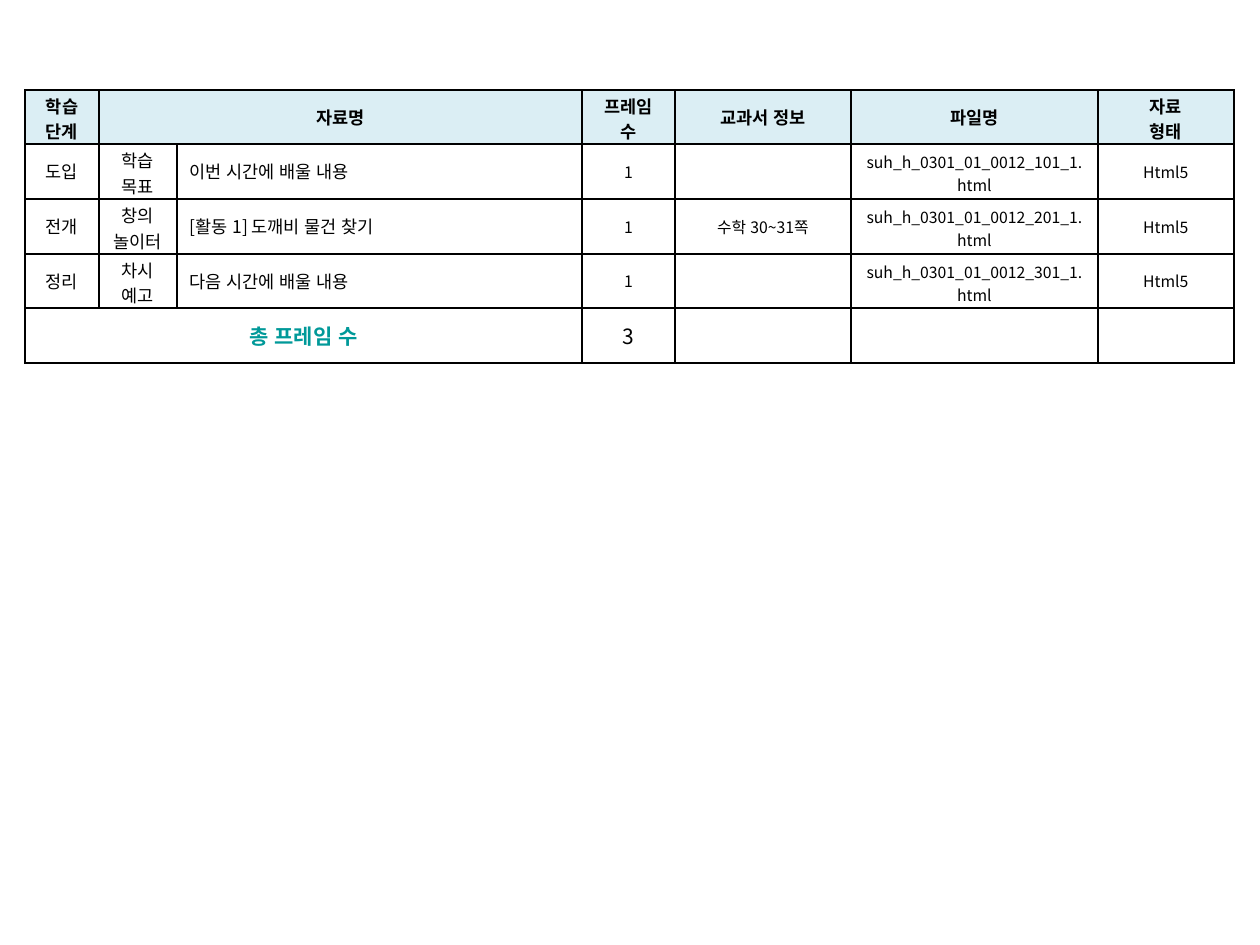
from lxml.etree import SubElement
from pptx import Presentation
from pptx.dml.color import RGBColor
from pptx.enum.lang import MSO_LANGUAGE_ID
from pptx.enum.text import MSO_ANCHOR, PP_ALIGN
from pptx.oxml.ns import qn
from pptx.util import Emu, Pt

FONT = "Noto Sans CJK KR"
BLACK = RGBColor(0x00, 0x00, 0x00)
TEAL = RGBColor(0x00, 0x99, 0x99)
PALE_BLUE = RGBColor(0xDB, 0xEE, 0xF4)

ROWS = [
    ["학습 단계", "자료명", "", "프레임 수", "교과서 정보", "파일명", "자료\n형태"],
    ["도입", "학습 목표", "이번 시간에 배울 내용", "1", "",
     "suh_h_0301_01_0012_101_1.html", "Html5"],
    ["전개", "창의\n놀이터", "[활동 1] 도깨비 물건 찾기", "1", "수학 30~31쪽",
     "suh_h_0301_01_0012_201_1.html", "Html5"],
    ["정리", "차시 예고", "다음 시간에 배울 내용", "1", "",
     "suh_h_0301_01_0012_301_1.html", "Html5"],
    ["총 프레임 수", "", "", "3", "", "", ""],
]
COLUMN_WIDTHS = [74, 78, 405, 93, 176, 247, 136]
ROW_HEIGHTS = [54, 55, 55, 54, 55]
LEFT, TOP = 25, 90
TITLE_COLUMN, FRAMES_COLUMN, FILE_COLUMN = 2, 3, 5
HEADER_ROW, TOTAL_ROW = 0, len(ROWS) - 1
MERGES = [((HEADER_ROW, 1), (HEADER_ROW, 2)), ((TOTAL_ROW, 0), (TOTAL_ROW, 2))]
TWO_LINE_HEADERS = (0, 3, 6)
TWO_LINE_COLUMNS = (1, FILE_COLUMN)


def px(count):
    return Emu(round(count * 914400 / 126))


def font_format(row, column):
    if row == HEADER_ROW:
        return {"size": Pt(10), "bold": True}, BLACK
    if row == TOTAL_ROW:
        is_label = column < FRAMES_COLUMN
        return {"size": Pt(12), "bold": is_label}, TEAL if is_label else BLACK
    return {"size": Pt(10 if column < FRAMES_COLUMN else 9), "bold": False}, BLACK


def tighten_margins(cell, row, column):
    """Let two lines of text fit in the low rows."""
    wrapped = TWO_LINE_HEADERS if row == HEADER_ROW else TWO_LINE_COLUMNS
    if row != TOTAL_ROW and column in wrapped:
        cell.margin_top = px(4 if column == FILE_COLUMN else 3)
        cell.margin_bottom = 0


def add_borders(cell):
    properties = cell._tc.get_or_add_tcPr()
    for index, side in enumerate(("lnL", "lnR", "lnT", "lnB")):
        line = properties.makeelement(qn(f"a:{side}"), {"w": str(Pt(1))})
        fill = SubElement(line, qn("a:solidFill"))
        SubElement(fill, qn("a:srgbClr"), val=str(BLACK))
        properties.insert(index, line)


def fill_cell(cell, text, row, column):
    cell.vertical_anchor = MSO_ANCHOR.MIDDLE
    tighten_margins(cell, row, column)
    if row == HEADER_ROW:
        cell.fill.solid()
        cell.fill.fore_color.rgb = PALE_BLUE
    else:
        cell.fill.background()
    add_borders(cell)
    cell.text = text
    values, color = font_format(row, column)
    values.update(name=FONT, language_id=MSO_LANGUAGE_ID.KOREAN)
    is_title = column == TITLE_COLUMN and HEADER_ROW < row < TOTAL_ROW
    for para in cell.text_frame.paragraphs:
        para.alignment = PP_ALIGN.LEFT if is_title else PP_ALIGN.CENTER
        for span in para.runs:
            for name, value in values.items():
                setattr(span.font, name, value)
            span.font.color.rgb = color
            SubElement(span._r.get_or_add_rPr(), qn("a:ea"), typeface=FONT)
        if not para.runs:
            SubElement(para._p, qn("a:endParaRPr"), sz="900")


deck = Presentation()
deck.slide_width, deck.slide_height = px(1260), px(945)
page = deck.slides.add_slide(deck.slide_layouts[6])
frame = page.shapes.add_table(
    len(ROWS), len(COLUMN_WIDTHS), px(LEFT), px(TOP),
    px(sum(COLUMN_WIDTHS)), px(sum(ROW_HEIGHTS)))
table = frame.table
table.first_row = table.horz_banding = False
for column, width in zip(table.columns, COLUMN_WIDTHS):
    column.width = px(width)
for row, height in zip(table.rows, ROW_HEIGHTS):
    row.height = px(height)
for first, last in MERGES:
    table.cell(*first).merge(table.cell(*last))
for r, texts in enumerate(ROWS):
    for c, text in enumerate(texts):
        fill_cell(table.cell(r, c), text, r, c)

deck.save("out.pptx")
